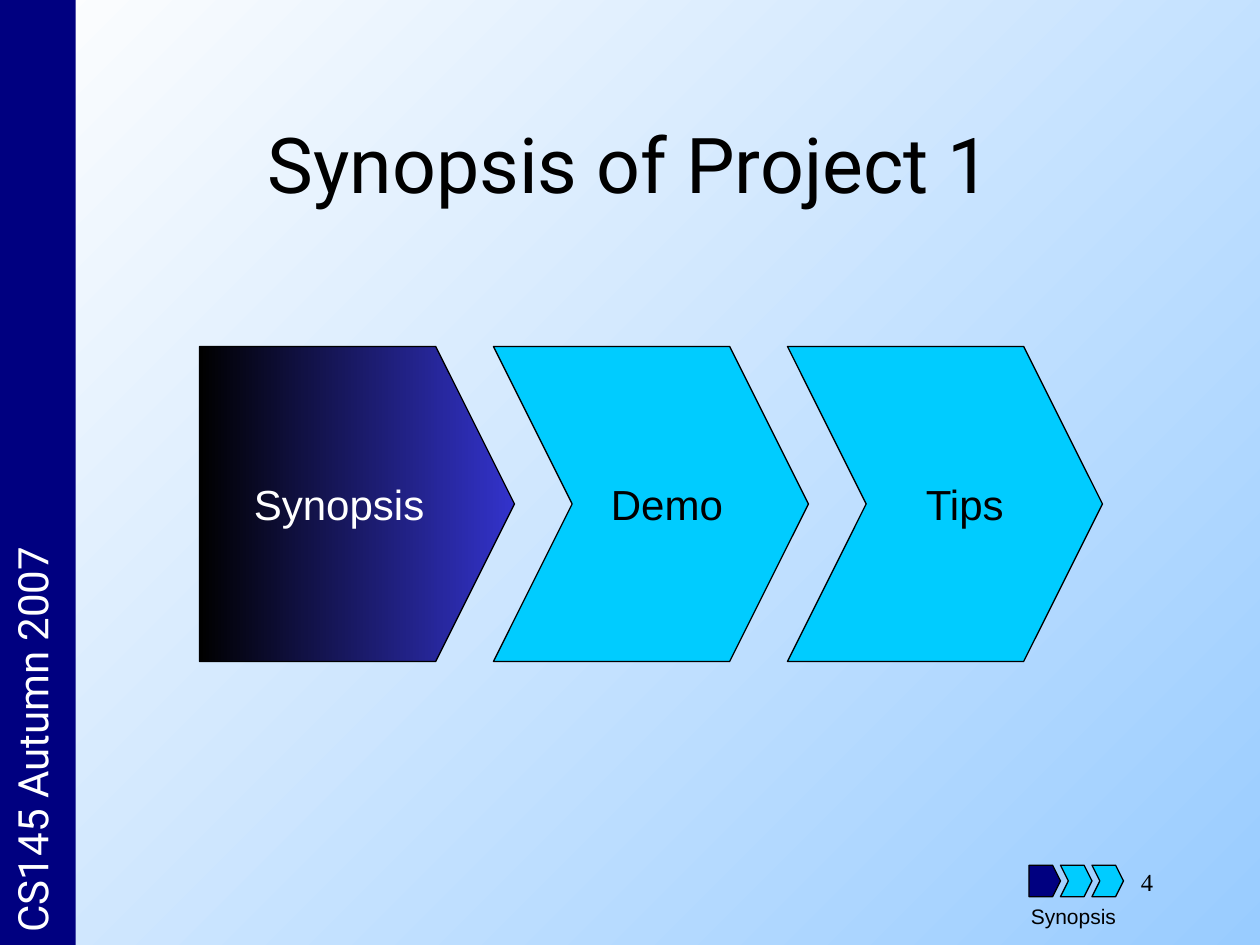
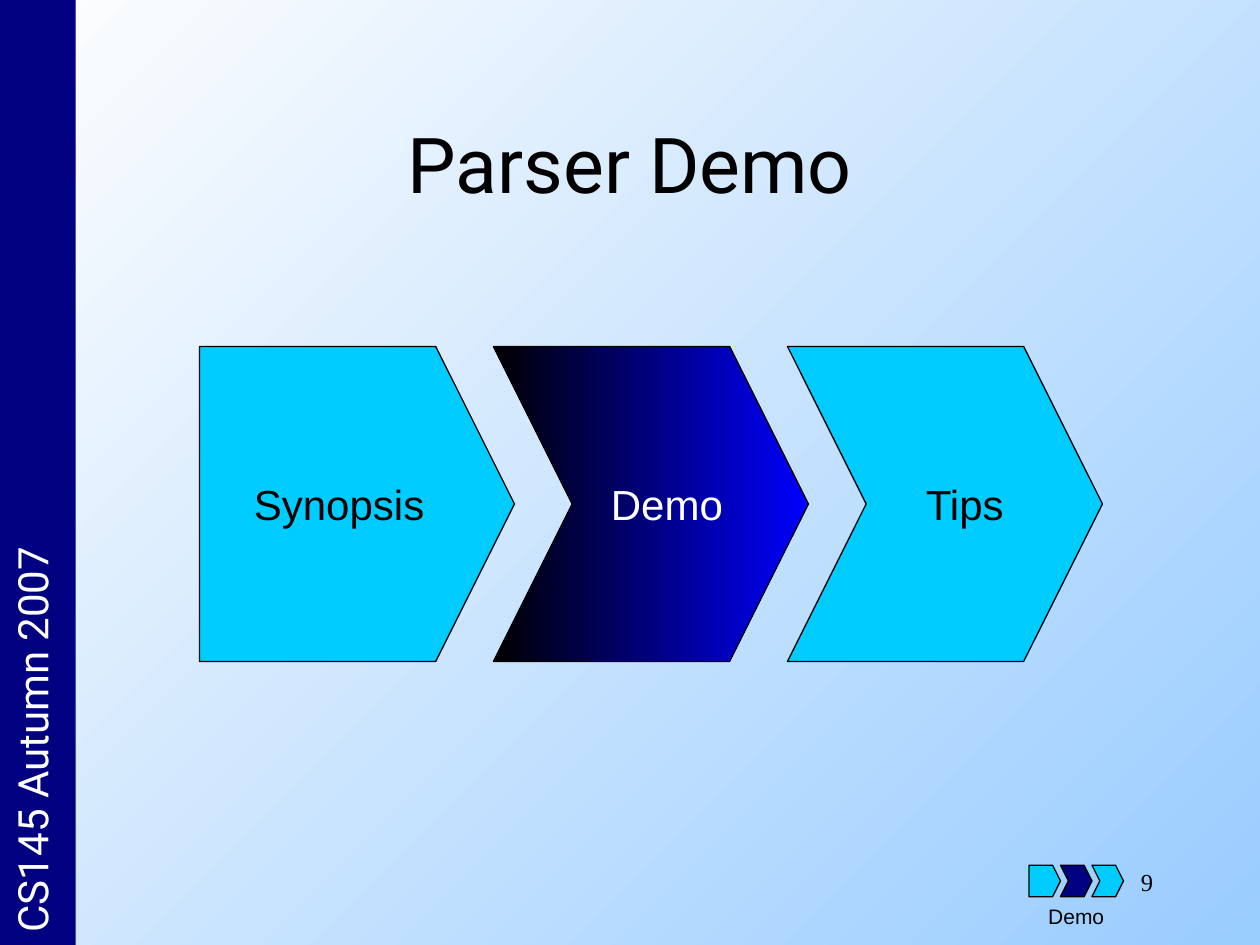
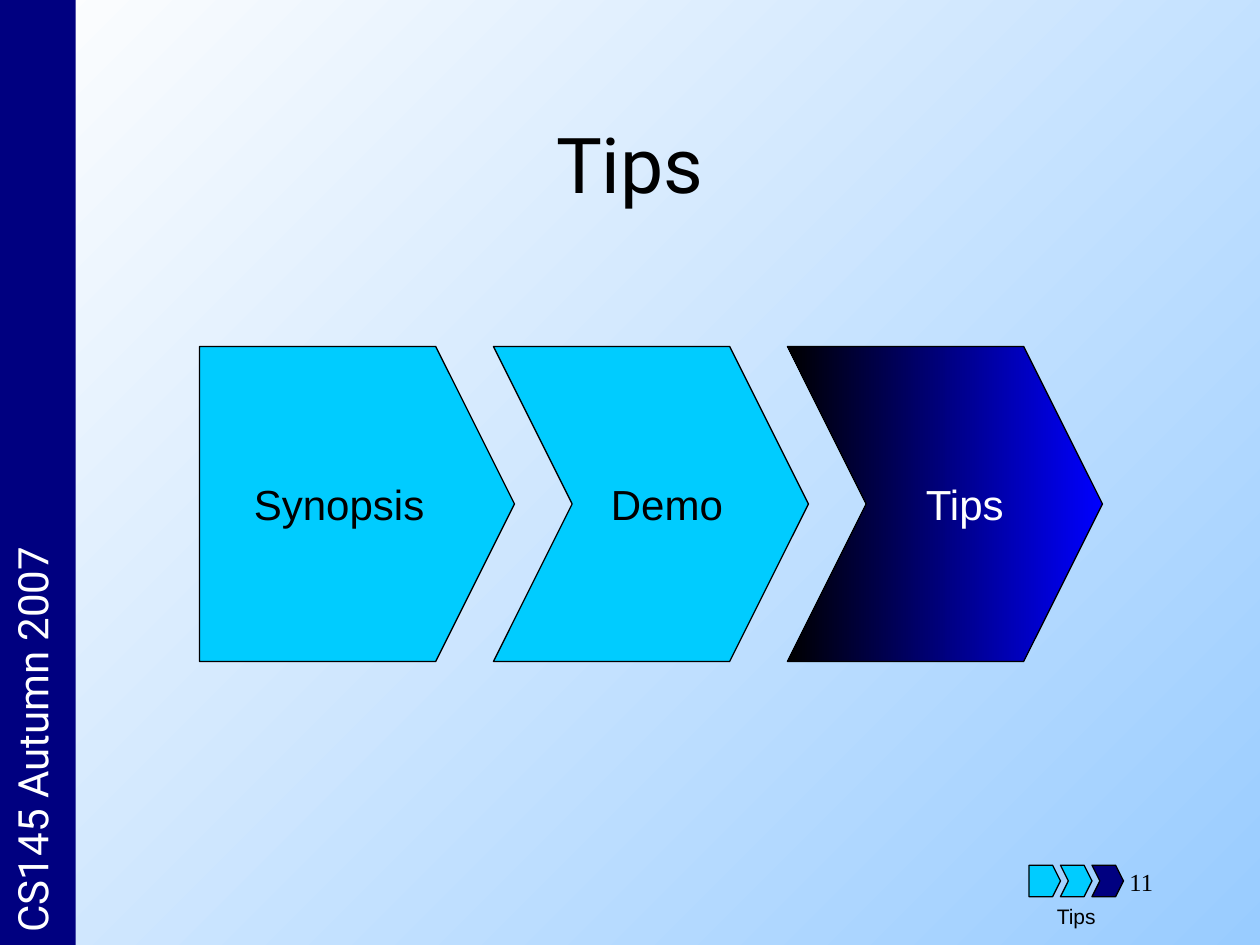
from dataclasses import dataclass

from pptx import Presentation
from pptx.dml.color import RGBColor
from pptx.enum.shapes import MSO_SHAPE
from pptx.enum.text import MSO_ANCHOR, MSO_AUTO_SIZE, PP_ALIGN
from pptx.util import Inches, Pt


@dataclass(frozen=True)
class Theme:
    # Colours
    black: str = "000000"
    white: str = "FFFFFF"
    navy: str = "000080"
    cyan: str = "00CCFF"
    blue: str = "0000FF"
    iris: str = "3333CC"
    sky: str = "99CCFF"
    pale: str = "FEFEFE"
    # Fonts
    head: str = "Roboto"
    body: str = "Arial"
    count: str = "Times New Roman"
    # Type sizes and line width in points
    title: float = 44
    label: float = 24
    page: float = 14
    small: float = 12
    edge: float = 0.75


T = Theme()
WIDE, HIGH = 10, 7.5
COLS, ROWS = 120, 90

# Each step of the talk: name, label column, label width
STEPS = [("Synopsis", 23, 20), ("Demo", 57, 14), ("Tips", 87, 10)]

# Each slide: title, page number, glow of the active arrow, caption alignment
SLIDES = [
    ("Synopsis of Project 1", 4, T.iris, PP_ALIGN.LEFT),
    ("Parser Demo", 9, T.blue, PP_ALIGN.CENTER),
    ("Tips", 11, T.blue, PP_ALIGN.CENTER),
]


# Grid and paint helpers
def cell(col, row, wide, high):
    """Turn grid columns and rows into lengths."""
    return (Inches(col * WIDE / COLS), Inches(row * HIGH / ROWS),
            Inches(wide * WIDE / COLS), Inches(high * HIGH / ROWS))


def tint(color):
    return RGBColor.from_string(color)


def blend(fill, start, end, angle):
    fill.gradient()
    fill.gradient_angle = angle
    for stop, color in zip(fill.gradient_stops, (start, end)):
        stop.color.rgb = tint(color)


def paint(shape, color):
    shape.shadow.inherit = False
    shape.fill.solid()
    shape.fill.fore_color.rgb = tint(color)


# Text
def write(frame, text, font, size, color, align=PP_ALIGN.LEFT):
    frame.word_wrap = True
    para = frame.paragraphs[0]
    para.alignment = align
    run = para.add_run()
    run.text = text
    run.font.name = font
    run.font.size = Pt(size)
    run.font.color.rgb = tint(color)


def note(slide, box, *style):
    write(slide.shapes.add_textbox(*cell(*box)).text_frame, *style)


def head(slide, text):
    title = slide.shapes.title
    title.left, title.top, title.width, title.height = cell(9, 8, 102, 15)
    frame = title.text_frame
    frame.vertical_anchor = MSO_ANCHOR.MIDDLE
    frame.auto_size = MSO_AUTO_SIZE.NONE
    write(frame, text, T.head, T.title, T.black, PP_ALIGN.CENTER)


# Side band with text that reads upwards
def band(slide, text):
    bar = slide.shapes.add_shape(MSO_SHAPE.RECTANGLE, *cell(0, 0, 7.2, ROWS))
    paint(bar, T.navy)
    bar.line.fill.background()
    bar.rotation = 180
    frame = bar.text_frame
    frame.vertical_anchor = MSO_ANCHOR.TOP
    frame.margin_left = frame.margin_right = Inches(0.05)
    frame.margin_top = frame.margin_bottom = Inches(0.1)
    write(frame, text, T.head, T.label, T.white, PP_ALIGN.CENTER)
    frame._txBody.bodyPr.set("vert", "eaVert")


# Row of arrows: the first has a flat back, the active one is dark
def chain(slide, col, row, size, pitch, active):
    arrows = []
    for i in range(len(STEPS)):
        kind = MSO_SHAPE.CHEVRON if i else MSO_SHAPE.PENTAGON
        box = cell(col + i * pitch, row, size, size)
        arrow = slide.shapes.add_shape(kind, *box)
        arrow.adjustments[0] = 0.25
        paint(arrow, T.navy if i == active else T.cyan)
        arrow.line.color.rgb = tint(T.black)
        arrow.line.width = Pt(T.edge)
        arrows.append(arrow)
    return arrows


def steps(slide, active, glow):
    arrows = chain(slide, 19, 33, 30, 28, active)
    blend(arrows[active].fill, glow, T.black, 180)
    for i, (name, col, wide) in enumerate(STEPS):
        color = T.white if i == active else T.black
        note(slide, (col, 45, wide, 6), name, T.body, T.label, color)


# Small progress trail, its caption and the page number
def foot(slide, active, page, align):
    chain(slide, 98, 82.4, 3, 3, active)
    note(slide, (97, 85.5, 11, 3.6), STEPS[active][0],
         T.body, T.small, T.black, align)
    note(slide, (86, 82, 25, 6), str(page),
         T.count, T.page, T.black, PP_ALIGN.RIGHT)


def main():
    deck = Presentation()
    deck.slide_width, deck.slide_height = Inches(WIDE), Inches(HIGH)
    blend(deck.slide_master.background.fill, T.sky, T.pale, 135)
    layout = deck.slide_layouts.get_by_name("Title Only")
    for active, (title, page, glow, align) in enumerate(SLIDES):
        slide = deck.slides.add_slide(layout)
        head(slide, title)
        band(slide, "CS145 Autumn 2007")
        steps(slide, active, glow)
        foot(slide, active, page, align)
    deck.save("out.pptx")


if __name__ == "__main__":
    main()
